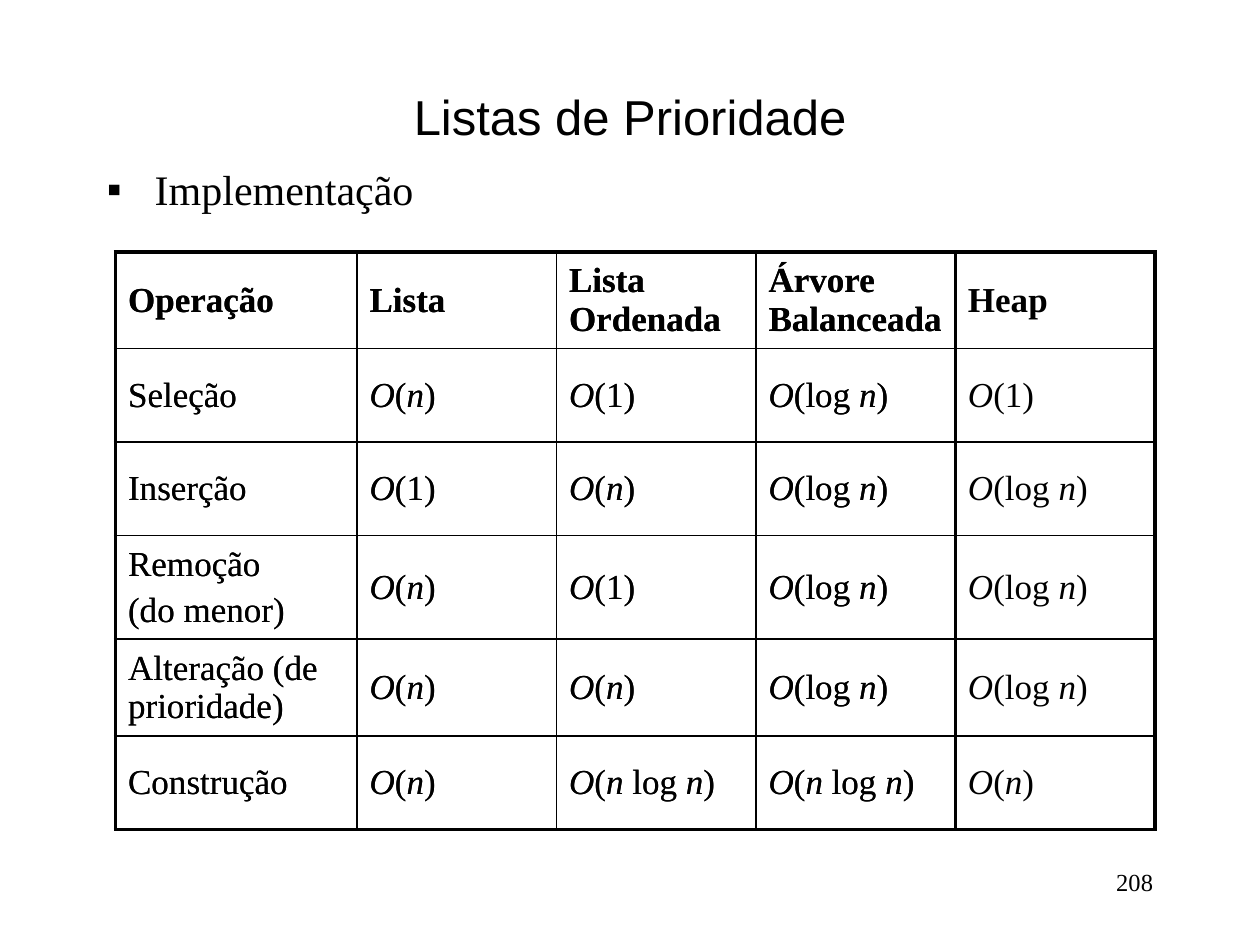
"""Builds the slide that compares priority-list implementations."""
from lxml.etree import SubElement
from pptx import Presentation
from pptx.dml.color import RGBColor
from pptx.enum.text import MSO_ANCHOR as Anchor, PP_ALIGN as Align
from pptx.oxml.ns import qn
from pptx.util import Inches, Pt

BLACK = RGBColor(0, 0, 0)
SERIF, SANS = "Times New Roman", "Arial"
THIN, THICK = Pt(1), Pt(2.25)
COLUMNS, ROWS = 120, 90
FIRST_COLUMN, OTHER_COLUMN, TABLE_ROW = 23, 19, 8.9

OPERATIONS = [
    ["Operação", "Lista", "Lista Ordenada", "Árvore Balanceada", "Heap"],
    ["Seleção", "*O*(*n*)", "*O*(1)", "*O*(log *n*)", "*O*(1)"],
    ["Inserção", "*O*(1)", "*O*(*n*)", "*O*(log *n*)", "*O*(log *n*)"],
    ["Remoção\n(do menor)", "*O*(*n*)", "*O*(1)", "*O*(log *n*)", "*O*(log *n*)"],
    ["Alteração (de prioridade)", "*O*(*n*)", "*O*(*n*)", "*O*(log *n*)", "*O*(log *n*)"],
    ["Construção", "*O*(*n*)", "*O*(*n* log *n*)", "*O*(*n* log *n*)", "*O*(*n*)"],
]


def write(frame, text, size=20, font=SERIF, color=BLACK, bold=False,
          align=Align.LEFT, bullet=None):
    frame.word_wrap = True
    for index, line in enumerate(text.split("\n")):
        paragraph = frame.add_paragraph() if index else frame.paragraphs[0]
        paragraph.alignment = align
        if index:
            paragraph.space_before = Pt(size * 0.2)
        if bullet:
            properties = paragraph._p.get_or_add_pPr()
            properties.set("marL", str(Inches(0.38)))
            properties.set("indent", str(-Inches(0.38)))
            SubElement(properties, qn("a:buFont"), typeface=SANS)
            SubElement(properties, qn("a:buChar"), char=bullet)
        for position, part in enumerate(line.split("*")):
            if part:
                run = paragraph.add_run()
                run.text = part
                run.font.name, run.font.size = font, Pt(size)
                run.font.bold, run.font.italic = bold, position % 2 == 1
                run.font.color.rgb = color


class Deck:
    def __init__(self):
        self.deck = Presentation()
        self.deck.slide_width, self.deck.slide_height = Inches(10), Inches(7.5)
        self.slide = self.deck.slides.add_slide(self.deck.slide_layouts[5])

    def across(self, columns):
        return round(self.deck.slide_width * columns / COLUMNS)

    def down(self, rows):
        return round(self.deck.slide_height * rows / ROWS)

    def area(self, left, top, width, height):
        return self.across(left), self.down(top), self.across(width), self.down(height)

    def title(self, text, *place):
        heading = self.slide.shapes.title
        heading.left, heading.top, heading.width, heading.height = self.area(*place)
        heading.text_frame.vertical_anchor = Anchor.MIDDLE
        write(heading.text_frame, text, size=28, font=SANS, align=Align.CENTER)

    def text(self, text, *place, **style):
        box = self.slide.shapes.add_textbox(*self.area(*place))
        write(box.text_frame, text, **style)

    def border(self, cell, side, width):
        line = SubElement(cell._tc.get_or_add_tcPr(), qn(f"a:ln{side}"), w=str(width))
        fill = SubElement(line, qn("a:solidFill"))
        SubElement(fill, qn("a:srgbClr"), val=str(BLACK))

    def table(self, records, left, top):
        count, last = len(records[0]), len(records) - 1
        width = FIRST_COLUMN + OTHER_COLUMN * (count - 1)
        place = self.area(left, top, width, TABLE_ROW * len(records))
        grid = self.slide.shapes.add_table(len(records), count, *place).table
        grid.first_row = grid.horz_banding = False
        for index, column in enumerate(grid.columns):
            column.width = self.across(OTHER_COLUMN if index else FIRST_COLUMN)
        for r, record in enumerate(records):
            grid.rows[r].height = self.down(TABLE_ROW)
            for c, entry in enumerate(record):
                cell = grid.cell(r, c)
                cell.vertical_anchor = Anchor.MIDDLE
                edges = {"L": c == 0, "R": c == count - 1, "T": r == 0, "B": r == last}
                for side, outer in edges.items():
                    self.border(cell, side, THICK if outer else THIN)
                cell.fill.background()
                write(cell.text_frame, entry, bold=r == 0)


def main():
    page = Deck()
    page.text("208", 86, 82, 25, 6, size=14, align=Align.RIGHT)
    page.title("Listas de Prioridade", 9, 8, 102, 6)
    page.text("Implementação", 9, 15, 102, 65, size=24, bullet="▪")
    for shown in (4, 5):
        page.table([record[:shown] for record in OPERATIONS], 11, 24)
    page.deck.save("out.pptx")


if __name__ == "__main__":
    main()
